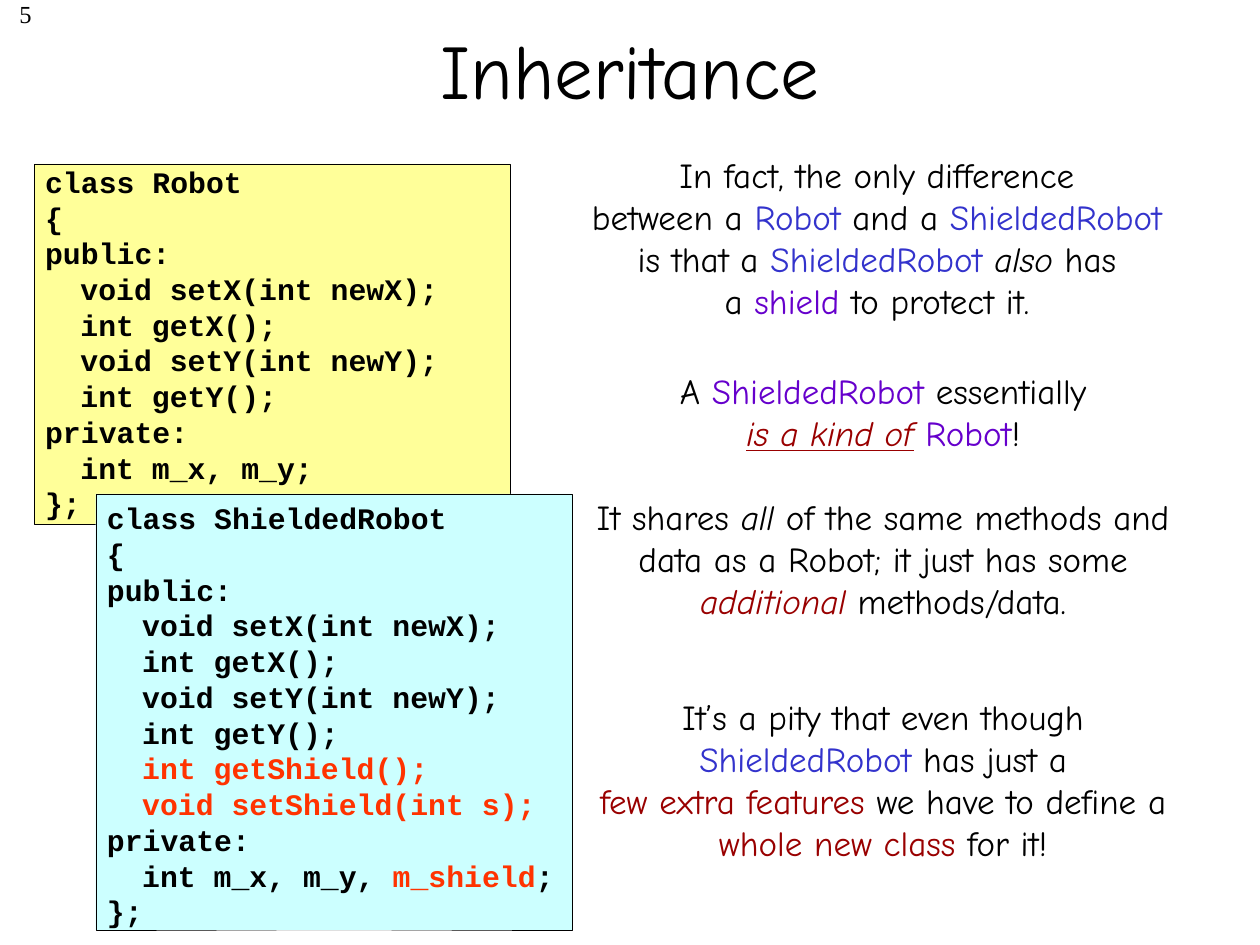
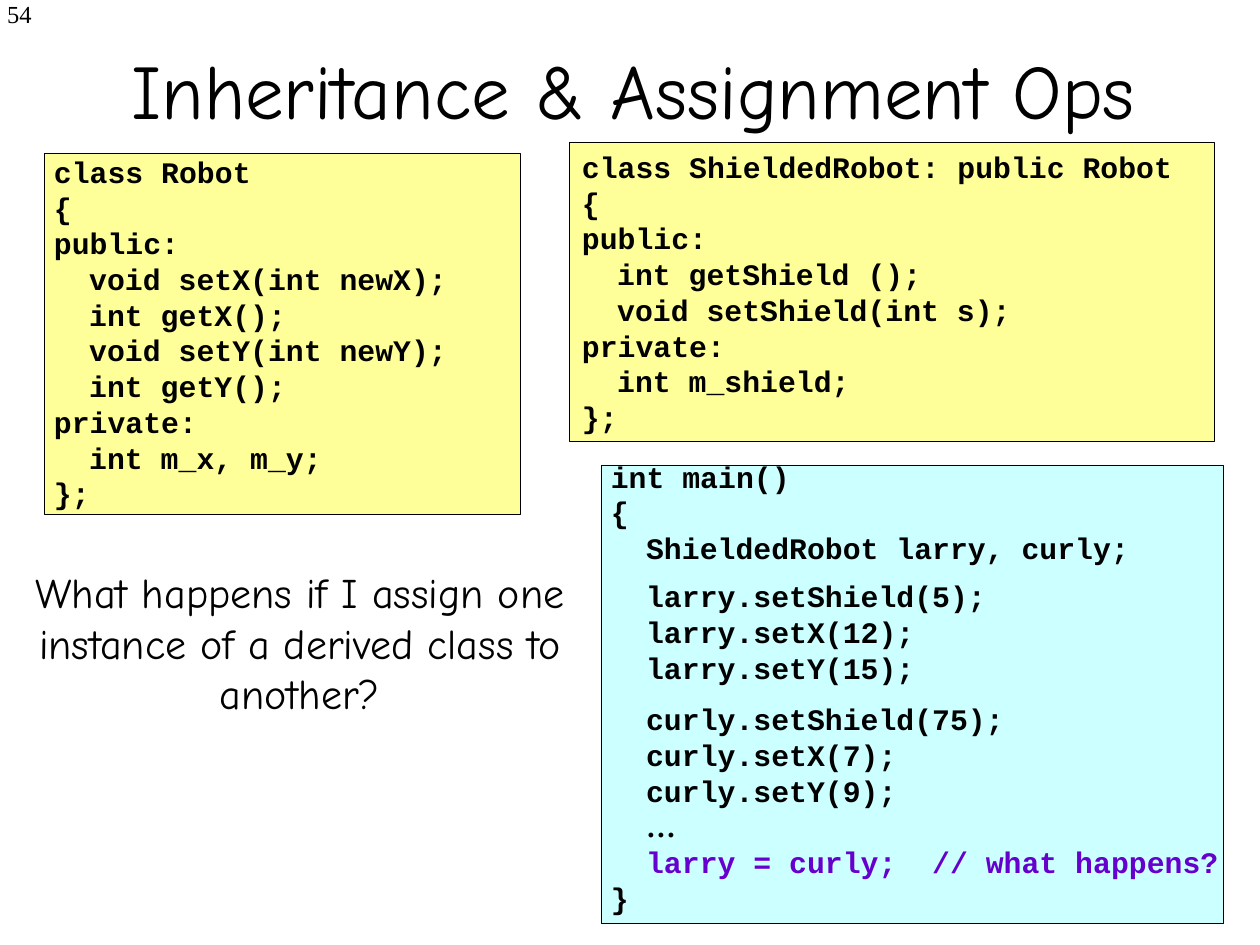
from pptx import Presentation
from pptx.dml.color import RGBColor
from pptx.enum.shapes import MSO_SHAPE
from pptx.enum.text import MSO_ANCHOR, PP_ALIGN
from pptx.util import Inches, Pt

BLACK = RGBColor(0x00, 0x00, 0x00)
WHITE = RGBColor(0xFF, 0xFF, 0xFF)
YELLOW = RGBColor(0xFF, 0xFF, 0x99)
CYAN = RGBColor(0xCC, 0xFF, 0xFF)
BLUE = RGBColor(0x33, 0x33, 0xCC)
PURPLE = RGBColor(0x66, 0x00, 0xCC)
DARK_RED = RGBColor(0x99, 0x00, 0x00)
ORANGE = RGBColor(0xFF, 0x33, 0x00)

HAND_FONT = "Comic Neue"
CODE_FONT = "Courier New"
NUMBER_FONT = "Times New Roman"
CODE_INDENT = Inches(0.28)
ITALIC = {"italic": True}


def write(frame, paragraphs, font_name, size, align=PP_ALIGN.LEFT, bold=False):
    frame.word_wrap = True
    for index, spans in enumerate(paragraphs):
        para = frame.paragraphs[0] if index == 0 else frame.add_paragraph()
        para.alignment = align
        para.font.name = font_name
        para.font.size = Pt(size)
        para.font.bold = bold
        para.font.color.rgb = BLACK
        if isinstance(spans, str):
            spans = [(spans,)]
        if spans[0][0].startswith("  "):
            properties = para._p.get_or_add_pPr()
            properties.set("marL", str(CODE_INDENT))
            properties.set("indent", "0")
            spans = [(spans[0][0][2:], *spans[0][1:]), *spans[1:]]
        for text, *look in spans:
            if text == "\n":
                para.add_line_break()
                continue
            span = para.add_run()
            span.text = text
            if look:
                span.font.color.rgb = look[0]
            for style in look[1:]:
                for name, value in style.items():
                    setattr(span.font, name, value)


def add_panel(page, area, color):
    panel = page.shapes.add_shape(MSO_SHAPE.RECTANGLE, *map(Inches, area))
    panel.shadow.inherit = False
    panel.fill.solid()
    panel.fill.fore_color.rgb = color
    panel.line.color.rgb = BLACK
    panel.line.width = Pt(0.25)
    panel.text_frame.vertical_anchor = MSO_ANCHOR.MIDDLE
    return panel


POSITION_METHODS = [
    "  void setX(int newX);",
    "  int getX();",
    "  void setY(int newY);",
    "  int getY();",
]
ROBOT = ["class Robot", "{", "public:", *POSITION_METHODS, "private:", "  int m_x, m_y;", "};"]
FULL_SHIELDED_ROBOT = [
    "class ShieldedRobot", "{", "public:", *POSITION_METHODS,
    [("  int getShield();", ORANGE)],
    [("  void setShield(int s);", ORANGE)],
    "private:",
    [("  int m_x, m_y, ",), ("m_shield", ORANGE), (";",)],
    "};",
]
DERIVED_SHIELDED_ROBOT = [
    "class ShieldedRobot: public Robot", "{", "public:",
    "  int getShield ();", "  void setShield(int s);",
    "private:", "  int m_shield;", "};",
]
MAIN = [
    "int main()", "{", "  ShieldedRobot larry, curly;",
    "  larry.setShield(5);", "  larry.setX(12);", "  larry.setY(15);",
    "  curly.setShield(75);", "  curly.setX(7);", "  curly.setY(9);",
    [("  …", BLACK, {"name": NUMBER_FONT})],
    [("  larry = curly;  // what happens?", PURPLE)],
    "}",
]
MAIN_GAPS = {3: 7, 6: 9}

DIFFERENCE = [[
    ("In fact, the only difference",), ("\n",),
    ("between a ",), ("Robot", BLUE), (" and a ",), ("ShieldedRobot", BLUE), ("\n",),
    ("is that a ",), ("ShieldedRobot ", BLUE), ("also ", BLACK, ITALIC), ("has",), ("\n",),
    ("a ",), ("shield", PURPLE), (" to protect it.",),
]]
KIND_OF = [
    [
        ("A ",), ("ShieldedRobot", PURPLE), (" essentially",), ("\n",),
        ("is a kind of", DARK_RED, {"italic": True, "underline": True}),
        (" ",), ("Robot", PURPLE), ("!",),
    ],
    [
        ("It shares ",), ("all ", BLACK, ITALIC),
        ("of the same methods and data as a Robot; it just has some ",),
        ("additional ", DARK_RED, ITALIC), ("methods/data.",),
    ],
]
PITY = [[
    ("It’s a pity that even though ",), ("ShieldedRobot", BLUE), (" has just a",), ("\n",),
    ("few extra features", DARK_RED), (" we have to define a ",),
    ("whole new class", DARK_RED), (" for it!",),
]]
QUESTION = ["What happens if I assign one instance of a derived class to another?"]

SLIDES = [
    {
        "number": "5",
        "title": ("Inheritance", (0.75, -0.08, 8.5, 1.25)),
        "code": [
            ((0.27, 1.3, 3.78, 2.86), YELLOW, (0.26, 1.25, 4.42, 2.93), ROBOT),
            ((0.76, 3.92, 3.78, 3.46), CYAN, (0.75, 3.92, 4.42, 3.53), FULL_SHIELDED_ROBOT),
        ],
        "remarks": [
            ((4.17, 1.17, 5.58, 1.45), DIFFERENCE, 20),
            ((4.56, 2.88, 4.9, 2.12), KIND_OF, 20),
            ((4.63, 5.47, 4.76, 1.45), PITY, 20),
        ],
    },
    {
        "number": "54",
        "title": ("Inheritance & Assignment Ops ", (0.67, 0.08, 8.92, 1.25)),
        "code": [
            ((0.35, 1.22, 3.78, 2.86), YELLOW, (0.33, 1.17, 4.42, 2.93), ROBOT),
            ((4.77, 3.69, 4.94, 3.64), CYAN, (4.75, 3.59, 5.34, 3.77), MAIN),
            ((4.52, 1.13, 5.12, 2.37), YELLOW, None, DERIVED_SHIELDED_ROBOT),
        ],
        "remarks": [((0.08, 4.45, 4.6, 1.31), QUESTION, 24)],
    },
]

deck = Presentation()
deck.slide_width = Inches(10)
deck.slide_height = Inches(7.5)

for content in SLIDES:
    page = deck.slides.add_slide(deck.slide_layouts[5])
    page.background.fill.solid()
    page.background.fill.fore_color.rgb = WHITE

    title_text, title_area = content["title"]
    title = page.shapes.title
    title.left, title.top, title.width, title.height = map(Inches, title_area)
    title.text_frame.vertical_anchor = MSO_ANCHOR.MIDDLE
    write(title.text_frame, [title_text], HAND_FONT, 44, PP_ALIGN.CENTER)

    number_box = page.shapes.add_textbox(0, Inches(-0.06), Inches(0.35), Inches(0.5))
    number_box.text_frame.margin_left = 0
    write(number_box.text_frame, [content["number"]], NUMBER_FONT, 14, PP_ALIGN.RIGHT)

    for panel_area, color, text_area, lines in content["code"]:
        box = add_panel(page, panel_area, color)
        if text_area:
            box = page.shapes.add_textbox(*map(Inches, text_area))
        write(box.text_frame, lines, CODE_FONT, 17, bold=True)
        if lines is MAIN:
            for index, gap in MAIN_GAPS.items():
                box.text_frame.paragraphs[index].space_before = Pt(gap)

    for area, paragraphs, size in content["remarks"]:
        box = page.shapes.add_textbox(*map(Inches, area))
        write(box.text_frame, paragraphs, HAND_FONT, size, PP_ALIGN.CENTER)
        for para in box.text_frame.paragraphs[1:]:
            para.space_before = Pt(24)

deck.save("out.pptx")
